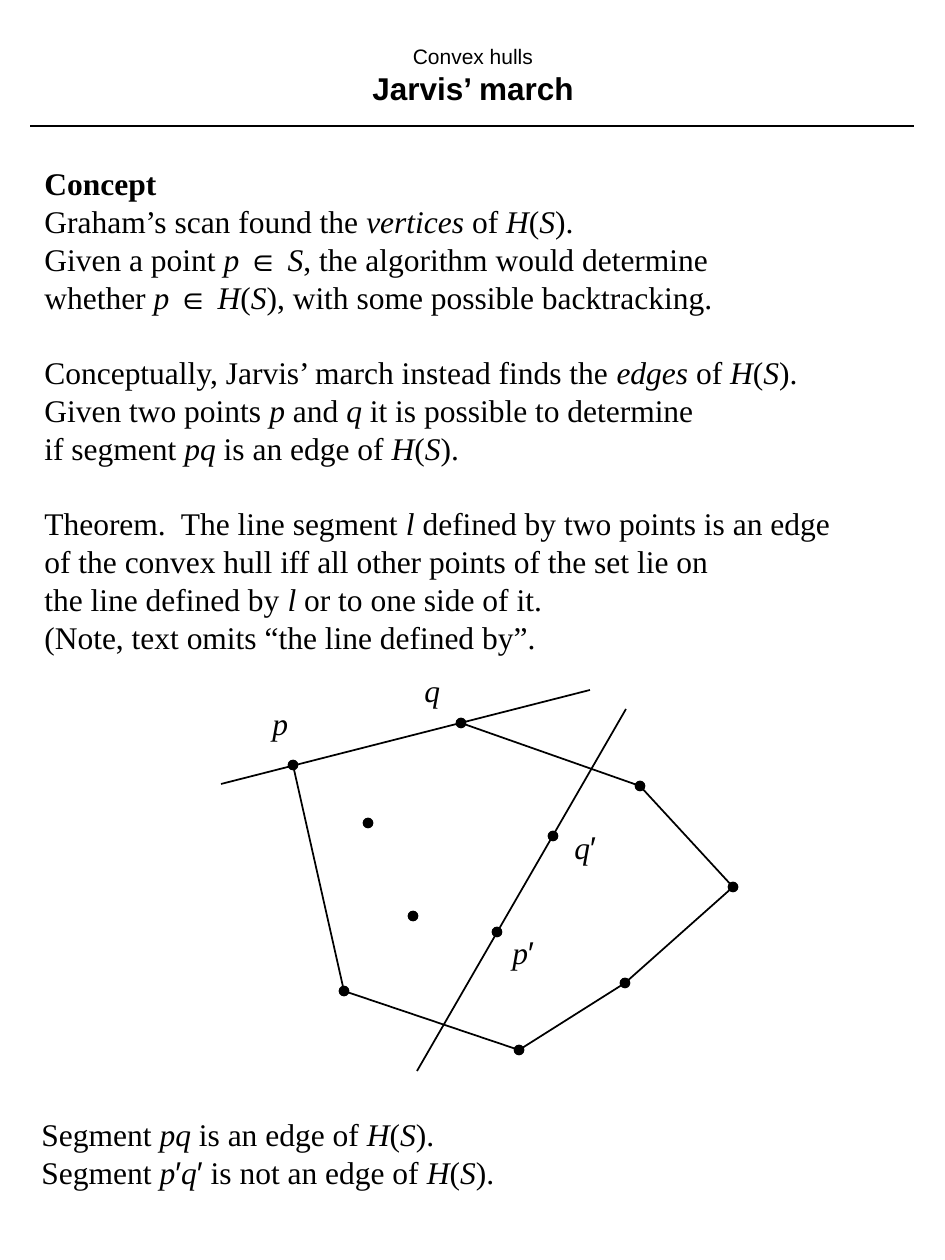
"""Builds the slide on Jarvis' march with its convex hull figure."""
from dataclasses import dataclass

from lxml.etree import SubElement
from pptx import Presentation
from pptx.dml.color import RGBColor
from pptx.enum.shapes import MSO_CONNECTOR, MSO_SHAPE
from pptx.enum.text import MSO_ANCHOR, MSO_AUTO_SIZE, PP_ALIGN
from pptx.oxml.ns import qn
from pptx.util import Pt

EMU_PER_PX = 914400 / 126


@dataclass(frozen=True)
class Theme:
    ink: RGBColor = RGBColor(0, 0, 0)
    sans: str = "Arial"
    serif: str = "Times New Roman"
    small: int = 12
    regular: int = 18
    leading: float = 21.6
    stroke: int = 1
    dot: int = 9


def px(*lengths):
    return [round(length * EMU_PER_PX) for length in lengths]


def add_runs(paragraph, text, *, font, symbol_font, size, color, bold=False):
    """Adds runs to a paragraph, with *italic* and ~symbol~ marks."""
    for i, stretch in enumerate(text.split("*")):
        for j, words in enumerate(stretch.split("~")):
            if words:
                run = paragraph.add_run()
                run.text = words
                run.font.name = symbol_font if j % 2 else font
                run.font.size = Pt(size)
                run.font.color.rgb = color
                run.font.bold = bold
                run.font.italic = i % 2 == 1


class SlideBuilder:
    def __init__(self, slide, theme):
        self.slide = slide
        self.theme = theme

    def wording(self, paragraph, text, **changes):
        style = {"font": self.theme.serif, "symbol_font": self.theme.sans,
                 "size": self.theme.regular, "color": self.theme.ink}
        add_runs(paragraph, text, **{**style, **changes})

    def title(self, topic, heading, box):
        title = self.slide.shapes.title
        title.left, title.top, title.width, title.height = px(*box)
        title.text_frame.vertical_anchor = MSO_ANCHOR.MIDDLE
        paragraph = title.text_frame.paragraphs[0]
        paragraph.alignment = PP_ALIGN.CENTER
        self.wording(paragraph, topic, font=self.theme.sans, size=self.theme.small)
        paragraph.add_line_break()
        self.wording(paragraph, heading, font=self.theme.sans, bold=True)

    def text(self, blocks, box, heading=None):
        frame = self.slide.shapes.add_textbox(*px(*box)).text_frame
        frame.word_wrap = False
        frame.auto_size = MSO_AUTO_SIZE.SHAPE_TO_FIT_TEXT
        paragraph = frame.paragraphs[0]
        for b, block in enumerate(blocks):
            for n, line in enumerate(block):
                if b or n:
                    paragraph = frame.add_paragraph()
                paragraph.line_spacing = Pt(self.theme.leading)
                if b and not n:
                    paragraph.space_before = Pt(self.theme.leading)
                self.wording(paragraph, line, bold=line == heading)

    def dot(self, center):
        size = self.theme.dot
        x, y = center
        dot = self.slide.shapes.add_shape(
            MSO_SHAPE.OVAL, *px(x - size / 2, y - size / 2, size, size))
        dot.shadow.inherit = False
        dot.fill.solid()
        dot.fill.fore_color.rgb = self.theme.ink
        self.stroke(dot.line)

    def line(self, start, end):
        line = self.slide.shapes.add_connector(
            MSO_CONNECTOR.STRAIGHT, *px(*start, *end))
        self.stroke(line.line)
        SubElement(line.element.spPr, qn("a:effectLst"))

    def stroke(self, outline):
        outline.color.rgb = self.theme.ink
        outline.width = Pt(self.theme.stroke)


CONCEPT = [
    ["Concept",
     "Graham’s scan found the *vertices* of *H*(*S*).",
     "Given a point *p *~∈ ~*S*, the algorithm would determine",
     "whether *p *~∈ ~*H*(*S*), with some possible backtracking."],
    ["Conceptually, Jarvis’ march instead finds the *edges* of *H*(*S*).",
     "Given two points *p* and *q* it is possible to determine",
     "if segment *pq* is an edge of *H*(*S*)."],
    ["Theorem.  The line segment *l* defined by two points is an edge",
     "of the convex hull iff all other points of the set lie on",
     "the line defined by *l *or to one side of it.",
     "(Note, text omits “the line defined by”."],
]
CONCLUSION = [[
    "Segment *pq* is an edge of *H*(*S*).",
    "Segment *p*~′~*q*~′~ is not an edge of *H*(*S*).",
]]
HULL = [(461, 723), (640, 786), (733, 887), (625, 983), (519, 1050),
        (344, 991), (293, 765)]
INNER_POINTS = [(413, 916), (368, 823), (553, 836), (497, 932)]
EDGE_LINE = (221, 784), (590, 690)
CROSSING_LINE = (417, 1071), (626, 709)
POINT_LABELS = [
    ("*p*", (260, 698, 40, 50)),
    ("*q*", (412, 665, 40, 50)),
    ("*q*~′~", (562, 822, 52, 50)),
    ("*p*~′~", (500, 927, 52, 50)),
]


def main():
    deck = Presentation()
    deck.slide_width, deck.slide_height = px(945, 1260)
    builder = SlideBuilder(deck.slides.add_slide(deck.slide_layouts[5]), Theme())

    builder.title("Convex hulls", "Jarvis’ march", (32, 32, 882, 87))
    builder.line((914, 126), (30, 126))
    builder.text(CONCEPT, (32, 158, 811, 504), heading="Concept")

    for point in HULL + INNER_POINTS:
        builder.dot(point)
    builder.line(*EDGE_LINE)
    for start, end in zip(HULL, HULL[1:]):
        builder.line(start, end)
    builder.line(*CROSSING_LINE)
    for label, box in POINT_LABELS:
        builder.text([[label]], box)

    builder.text(CONCLUSION, (29, 1109, 486, 88))
    deck.save("out.pptx")


if __name__ == "__main__":
    main()
